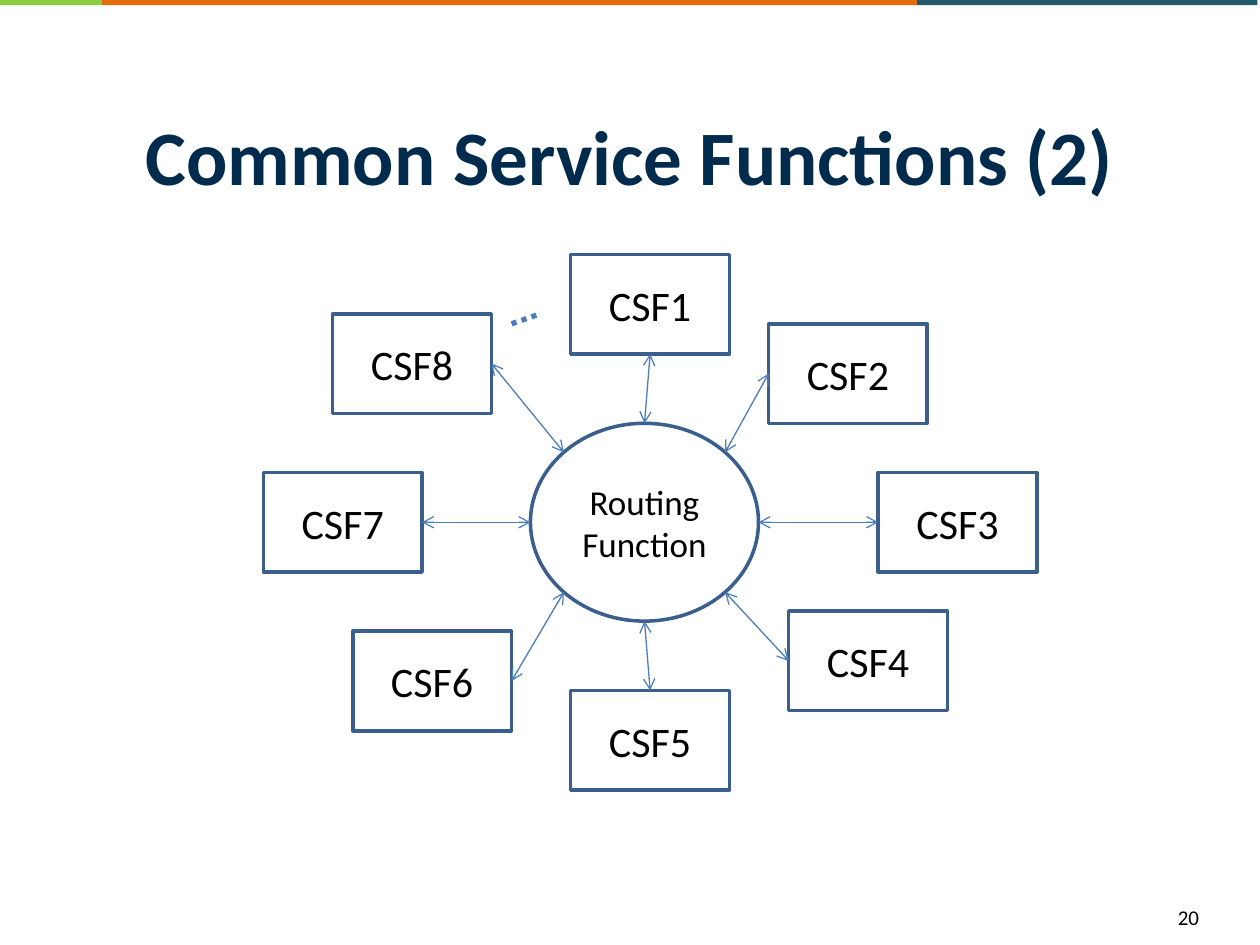
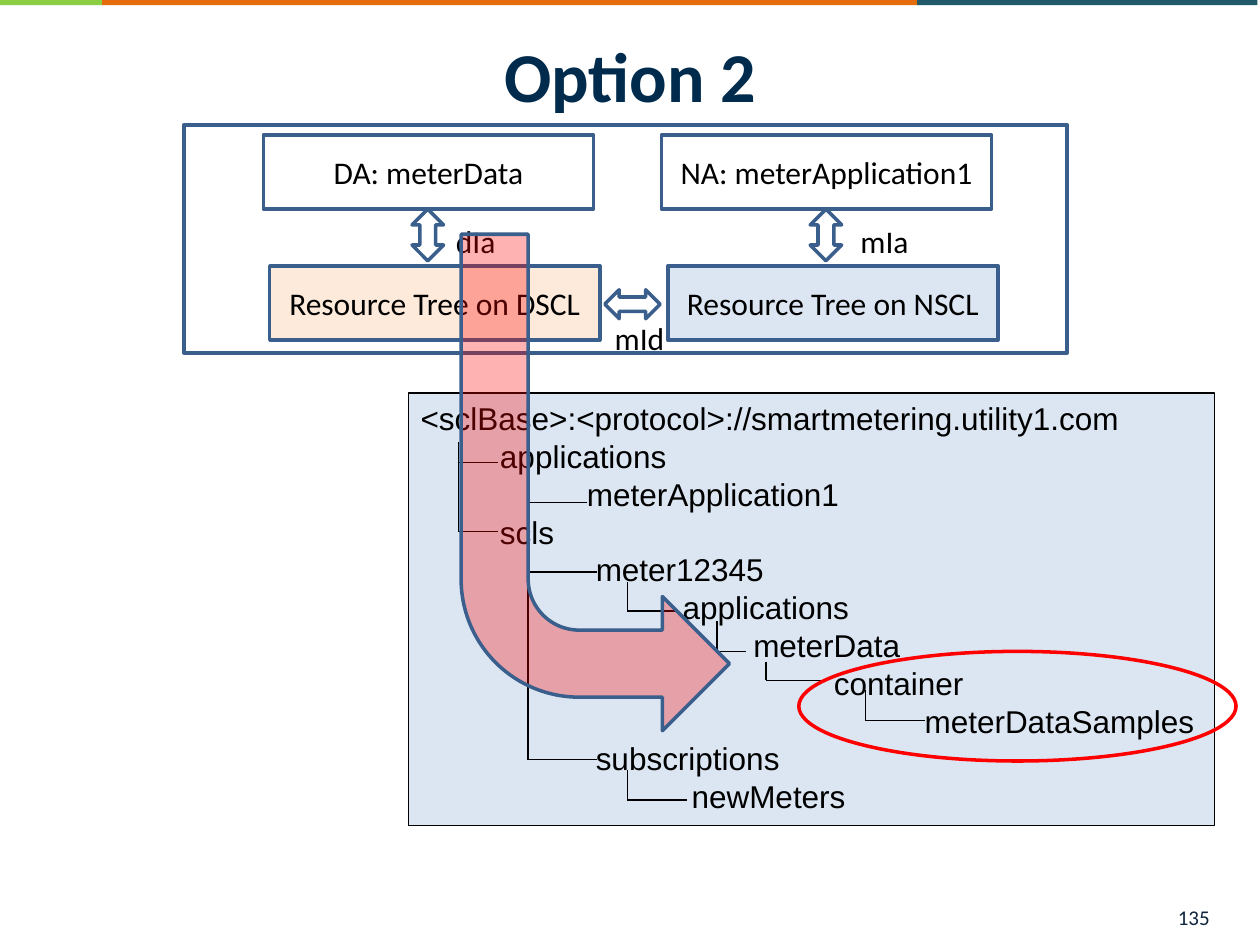
import math
from dataclasses import dataclass

import lxml.etree
import pptx
import pptx.dml.color
import pptx.enum.dml
import pptx.enum.shapes
import pptx.enum.text
import pptx.oxml.ns
import pptx.util

Inches = pptx.util.Inches
Pt = pptx.util.Pt
qn = pptx.oxml.ns.qn
SHAPE = pptx.enum.shapes.MSO_SHAPE
ALIGN = pptx.enum.text.PP_ALIGN
ANCHOR = pptx.enum.text.MSO_ANCHOR


@dataclass(frozen=True)
class Theme:
    font: str = "Calibri"
    tree_font: str = "Arial"
    title: str = "002B4C"
    text: str = "000000"
    page: str = "10253F"
    outline: str = "3A5F8C"
    link: str = "4B7EBC"
    peach: str = "FDEADA"
    pale_blue: str = "DCE6F2"
    red: str = "FF0000"
    page_size: float = 12
    label_size: float = 18
    hub_size: float = 20
    csf_size: float = 24
    tree_pitch: float = 21.6
    thin: float = 0.75
    thick: float = 2
    dotted: float = 3


T = Theme()

BANDS = [(0.8, 6.48, "E46C0A"), (7.28, 2.7, "215968"), (-0.05, 0.86, "8BCD43")]

HUB = (4.21, 3.36, 1.81, 1.57)
CSF_SIZE = (1.26, 0.79)
CSFS = [
    ("CSF1", 4.53, 2.02, "bottom"),
    ("CSF2", 6.1, 2.57, "left"),
    ("CSF3", 6.97, 3.75, "left"),
    ("CSF4", 6.26, 4.85, "left"),
    ("CSF5", 4.53, 5.48, "top"),
    ("CSF6", 2.8, 5.01, "right"),
    ("CSF7", 2.09, 3.75, "right"),
    ("CSF8", 2.64, 2.49, "right"),
]
SIDES = {"left": (0, 0.5), "right": (1, 0.5), "top": (0.5, 0), "bottom": (0.5, 1)}

NODE_SIZE = (2.62, 0.59)
NODES = [
    ("Resource Tree on DSCL", 2.14, 2.11, T.peach),
    ("DA: meterData", 2.09, 1.07, None),
    ("NA: meterApplication1", 5.25, 1.07, None),
    ("Resource Tree on NSCL", 5.3, 2.11, T.pale_blue),
]
INTERFACE_ARROWS = [
    (SHAPE.UP_DOWN_ARROW, (3.27, 1.66, 0.25, 0.41)),
    (SHAPE.UP_DOWN_ARROW, (6.43, 1.66, 0.25, 0.41)),
    (SHAPE.LEFT_RIGHT_ARROW, (4.8, 2.3, 0.44, 0.23)),
]
INTERFACES = [
    ("mIa", (6.73, 1.71, 0.59, 0.4)),
    ("dIa", (3.52, 1.71, 0.52, 0.4)),
    ("mId", (4.78, 2.48, 0.6, 0.4)),
]
TREE = [
    ("<sclBase>:<protocol>://smartmetering.utility1.com", 0),
    ("applications", 0.63),
    ("meterApplication1", 1.32),
    ("scls", 0.63),
    ("meter12345", 1.39),
    ("applications", 2.08),
    ("meterData", 2.64),
    ("container", 3.28),
    ("meterDataSamples", 4),
    ("subscriptions", 1.39),
    ("newMeters", 2.15),
]
STEMS = [
    (3.64, 3.51, 3.95, [3.67, 4.22]),
    (4.19, 3.75, 4.66, [3.99]),
    (4.19, 4.38, 4.74, [4.54, 6.03]),
    (4.98, 4.62, 5.37, [4.85]),
    (5.69, 4.93, 5.92, [5.17]),
    (4.98, 6.11, 5.45, [6.35]),
    (6.87, 5.48, 7.34, [5.72]),
    (6.08, 5.25, 6.55, [5.4]),
]


def rgb(color):
    return pptx.dml.color.RGBColor.from_string(color)


def box(at):
    return [Inches(v) for v in at]


def style(p, size, color=T.text, font=T.font, bold=False):
    p.font.name = font
    p.font.size = Pt(size)
    p.font.bold = bold
    p.font.color.rgb = rgb(color)


def add_shape(s, kind, at, fill=None, line=T.outline, width=T.thick):
    sp = s.shapes.add_shape(kind, *box(at))
    sp.shadow.inherit = False
    if fill:
        sp.fill.solid()
        sp.fill.fore_color.rgb = rgb(fill)
    else:
        sp.fill.background()
    if line:
        sp.line.color.rgb = rgb(line)
        sp.line.width = Pt(width)
    else:
        sp.line.fill.background()
    return sp


def write(sp, text, size):
    tf = sp.text_frame
    tf.word_wrap = True
    tf.vertical_anchor = ANCHOR.MIDDLE
    tf.text = text
    for p in tf.paragraphs:
        p.alignment = ALIGN.CENTER
        style(p, size)


def add_label(s, text, at, size, color=T.text):
    tf = s.shapes.add_textbox(*box(at)).text_frame
    tf.word_wrap = False
    tf.text = text
    style(tf.paragraphs[0], size, color)


def add_line(s, start, end, color=T.text, width=T.thin, arrows=False):
    cx = s.shapes.add_connector(
        pptx.enum.shapes.MSO_CONNECTOR.STRAIGHT, *box(start + end))
    cx.line.color.rgb = rgb(color)
    cx.line.width = Pt(width)
    if arrows:
        ln = cx.line._get_or_add_ln()
        for tag in ("a:headEnd", "a:tailEnd"):
            lxml.etree.SubElement(ln, qn(tag), type="arrow")
    lxml.etree.SubElement(cx.element.spPr, qn("a:effectLst"))
    return cx


def add_slide(prs, title, at, size, page, page_color):
    s = prs.slides.add_slide(prs.slide_layouts[5])
    for left, width, color in BANDS:
        add_shape(s, SHAPE.RECTANGLE, (left, -0.01, width, 0.05), color, None)
    sp = s.shapes.title
    sp.left, sp.top, sp.width, sp.height = box(at)
    tf = sp.text_frame
    tf.text = title
    tf.auto_size = pptx.enum.text.MSO_AUTO_SIZE.NONE
    tf.vertical_anchor = ANCHOR.MIDDLE
    tf.paragraphs[0].alignment = ALIGN.CENTER
    style(tf.paragraphs[0], size, T.title, bold=True)
    add_label(s, page, (9.25, 7.13, 0.64, 0.4), T.page_size, page_color)
    return s


def add_functions_slide(prs):
    s = add_slide(prs, "Common Service Functions (2)", (0.5, 0.68, 9, 1.1), 44,
                  "20", T.text)
    write(add_shape(s, SHAPE.OVAL, HUB), "Routing\nFunction", T.hub_size)
    hub_left, hub_top, hub_w, hub_h = HUB
    w, h = CSF_SIZE
    for i, (name, left, top, side) in enumerate(CSFS):
        write(add_shape(s, SHAPE.RECTANGLE, (left, top, w, h)), name, T.csf_size)
        angle = math.radians(45 * i)
        start = (hub_left + hub_w / 2 * (1 + math.sin(angle)),
                 hub_top + hub_h / 2 * (1 - math.cos(angle)))
        fx, fy = SIDES[side]
        add_line(s, start, (left + w * fx, top + h * fy), T.link, arrows=True)
    dots = add_line(s, (4.06, 2.57), (4.29, 2.49), T.link, T.dotted)
    dots.line.dash_style = pptx.enum.dml.MSO_LINE.ROUND_DOT


def add_tree(s):
    sp = add_shape(s, SHAPE.RECTANGLE, (3.24, 3.12, 6.4, 3.43), T.pale_blue,
                   T.text, T.thin)
    tf = sp.text_frame
    tf.word_wrap = True
    tf.vertical_anchor = ANCHOR.TOP
    tf.text = "\n".join(name for name, indent in TREE)
    for p, (name, indent) in zip(tf.paragraphs, TREE):
        p.alignment = ALIGN.LEFT
        p.line_spacing = Pt(T.tree_pitch)
        p._p.get_or_add_pPr().set("marL", str(Inches(indent)))
        style(p, T.label_size, font=T.tree_font)
    for x, top, right, branches in STEMS:
        add_line(s, (x, top), (x, branches[-1]))
        for y in branches:
            add_line(s, (x, y), (right, y))


def add_option_slide(prs):
    s = add_slide(prs, "Option 2", (0.5, -0.03, 9, 1.25), 40, "135", T.page)
    for name, left, top, fill in NODES:
        sp = add_shape(s, SHAPE.RECTANGLE, (left, top) + NODE_SIZE, fill)
        write(sp, name, T.label_size)
    for kind, at in INTERFACE_ARROWS:
        add_shape(s, kind, at)
    for name, at in INTERFACES:
        add_label(s, name, at, T.label_size)
    add_shape(s, SHAPE.RECTANGLE, (1.46, 0.99, 7.01, 1.81))
    add_tree(s)
    flow = add_shape(s, SHAPE.BENT_ARROW, (3.66, 1.86, 2.13, 3.94), T.red)
    for i, value in enumerate((0.25, 0.25, 0.25, 0.44)):
        flow.adjustments[i] = value
    pr = flow.element.spPr
    pr.find(qn("a:xfrm")).set("flipV", "1")
    color = pr.find(qn("a:solidFill")).find(qn("a:srgbClr"))
    lxml.etree.SubElement(color, qn("a:alpha"), val="30000")
    add_shape(s, SHAPE.OVAL, (6.34, 5.17, 3.47, 0.87), line=T.red)


def main():
    prs = pptx.Presentation()
    prs.slide_width, prs.slide_height = Inches(10), Inches(7.5)
    add_functions_slide(prs)
    add_option_slide(prs)
    prs.save("out.pptx")


if __name__ == "__main__":
    main()
